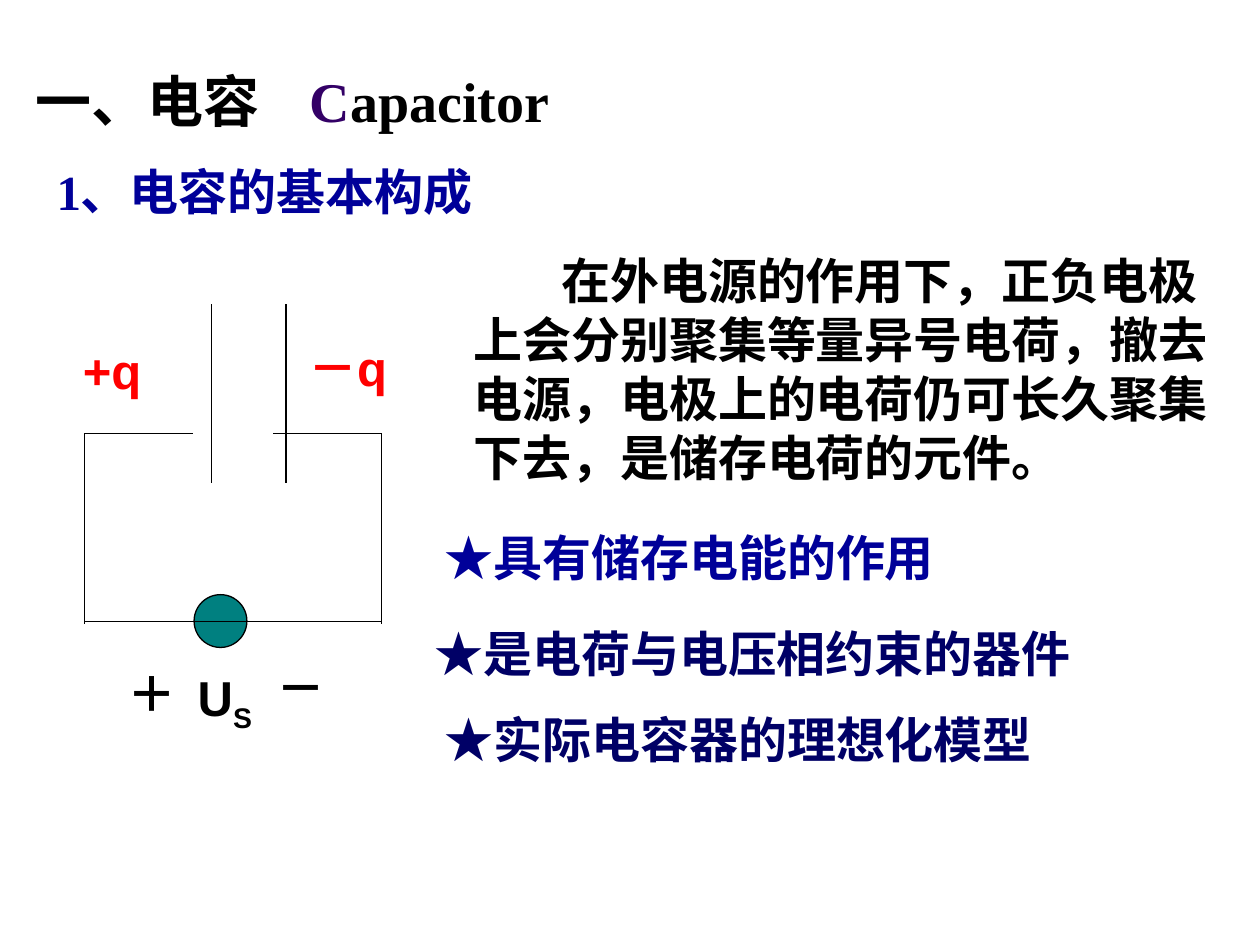
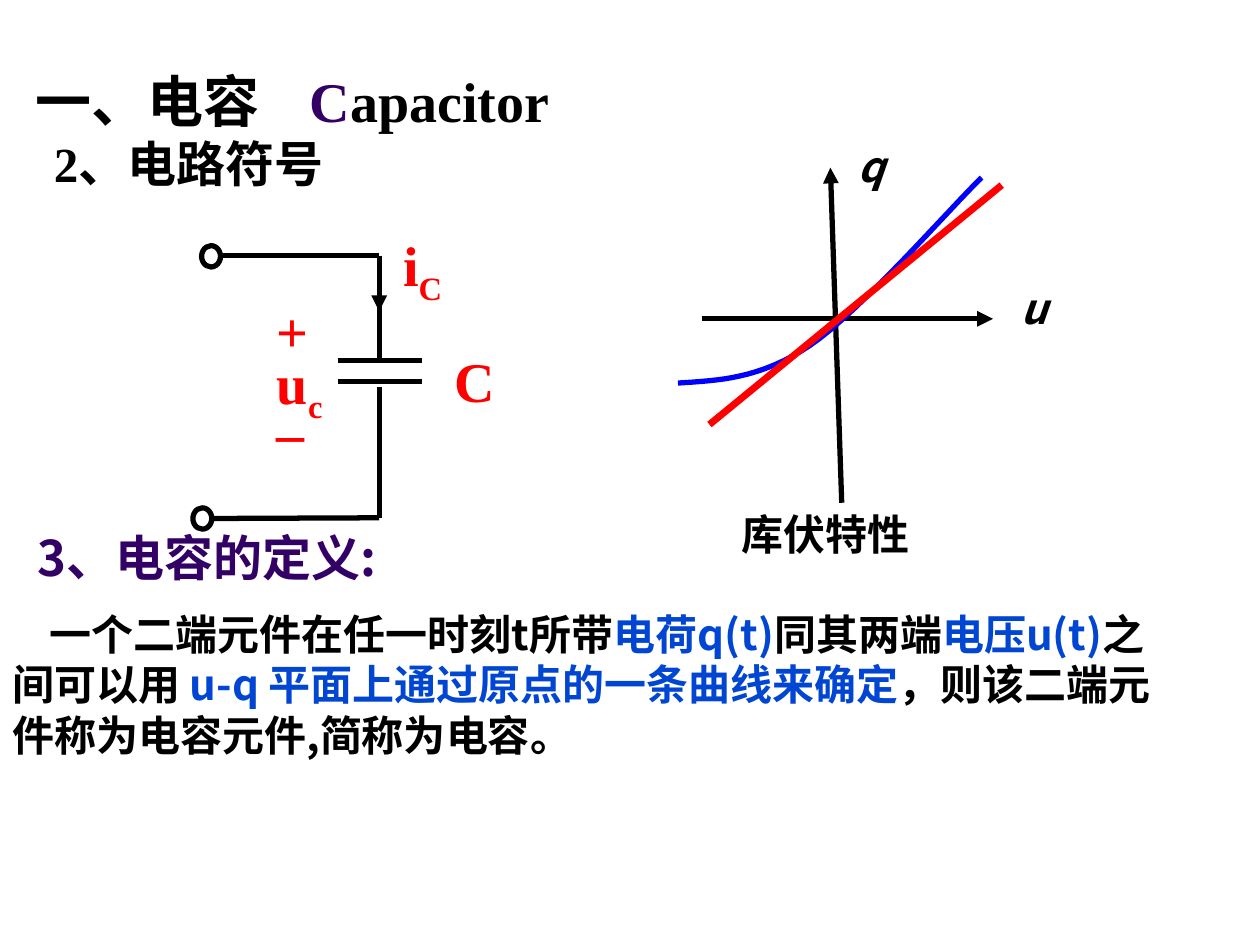
import pptx
import pptx.dml.color
import pptx.enum.shapes
import pptx.enum.text
import pptx.oxml.ns
import pptx.util
import lxml.etree

Pt = pptx.util.Pt
qn = pptx.oxml.ns.qn
SHAPE = pptx.enum.shapes.MSO_SHAPE
STRAIGHT = pptx.enum.shapes.MSO_CONNECTOR.STRAIGHT
ALIGN = pptx.enum.text.PP_ALIGN

COLORS = {
    "black": "000000",
    "red": "FF0000",
    "curve": "0000FF",
    "source": "008080",
    "heading": "000099",
    "navy": "000066",
    "purple": "330066",
    "accent": "0046D2",
}
CJK, TIMES, ARIAL = "Noto Sans CJK SC", "Times New Roman", "Arial"


def rgb(name):
    return pptx.dml.color.RGBColor.from_string(COLORS[name])


def add_span(para, text, font=CJK, size=28, color="black", italic=False, sub=False):
    span = para.add_run()
    span.text = text
    span.font.size = Pt(size)
    span.font.bold = True
    span.font.italic = italic
    span.font.color.rgb = rgb(color)
    span.font.name = font
    properties = span.font._element
    lxml.etree.SubElement(properties, qn("a:ea")).set("typeface", CJK)
    if sub:
        properties.set("baseline", "-25000")
    return span


def bezier(start, first, second, end, steps=16):
    for step in range(1, steps + 1):
        t = step / steps
        weights = ((1 - t) ** 3, 3 * t * (1 - t) ** 2, 3 * t * t * (1 - t), t ** 3)
        points = (start, first, second, end)
        yield tuple(sum(w * p[axis] for w, p in zip(weights, points)) for axis in (0, 1))


class Lecture:
    def __init__(self):
        self.deck = pptx.Presentation()
        self.deck.slide_width, self.deck.slide_height = Pt(720), Pt(540)
        self.page = None

    def new_page(self):
        self.page = self.deck.slides.add_slide(self.deck.slide_layouts[5])
        title = self.page.shapes.title
        title.left, title.top, title.width, title.height = map(Pt, (13, 34.6, 392.4, 46.1))
        self.set_frame(title.text_frame)
        para = title.text_frame.paragraphs[0]
        para.alignment = ALIGN.LEFT
        tabs = lxml.etree.SubElement(para._p.get_or_add_pPr(), qn("a:tabLst"))
        lxml.etree.SubElement(tabs, qn("a:tab"), pos=str(Pt(156.7)), algn="l")
        add_span(para, "一、电容\t", size=32)
        add_span(para, "C", font=TIMES, size=32, color="purple")
        add_span(para, "apacitor", font=TIMES, size=32)

    def set_frame(self, frame, wrap=True):
        frame.word_wrap = wrap
        frame.auto_size = pptx.enum.text.MSO_AUTO_SIZE.NONE
        frame.vertical_anchor = pptx.enum.text.MSO_ANCHOR.TOP
        frame.margin_left = frame.margin_right = Pt(7.2)
        frame.margin_top = frame.margin_bottom = Pt(3.6)

    def text(self, place, *lines, align=ALIGN.LEFT, wrap=True, indent=0, spacing=None, **style):
        box = self.page.shapes.add_textbox(*map(Pt, place))
        frame = box.text_frame
        self.set_frame(frame, wrap)
        for number, line in enumerate(lines):
            para = frame.add_paragraph() if number else frame.paragraphs[0]
            para.alignment = align
            if spacing:
                para.line_spacing = spacing
            if indent:
                para._p.get_or_add_pPr().set("indent", str(Pt(indent)))
            for text, changes in [(line, {})] if isinstance(line, str) else line:
                add_span(para, text, **{**style, **changes})

    def label(self, place, *lines, **style):
        self.text(place, *lines, align=ALIGN.CENTER, **style)

    def line(self, x1, y1, x2, y2, width=3, color="black", arrow=False):
        line = self.page.shapes.add_connector(STRAIGHT, *map(Pt, (x1, y1, x2, y2)))
        line.line.width = Pt(width)
        line.line.color.rgb = rgb(color)
        if arrow:
            lxml.etree.SubElement(line.line._get_or_add_ln(), qn("a:tailEnd"), type="triangle")
        lxml.etree.SubElement(line._element.spPr, qn("a:effectLst"))

    def outline(self, shape, width, color="black", fill=None):
        shape.shadow.inherit = False
        shape.line.width = Pt(width)
        shape.line.color.rgb = rgb(color)
        if fill:
            shape.fill.solid()
            shape.fill.fore_color.rgb = rgb(fill)
        else:
            shape.fill.background()

    def circle(self, place, width=3, fill=None):
        shape = self.page.shapes.add_shape(SHAPE.OVAL, *map(Pt, place))
        self.outline(shape, width, fill=fill)

    def curve(self, start, *segments, color):
        points = []
        current = start
        for segment in segments:
            points += bezier(current, *segment)
            current = segment[-1]
        builder = self.page.shapes.build_freeform(*map(Pt, start), scale=1.0)
        builder.add_line_segments([tuple(map(Pt, point)) for point in points], close=False)
        self.outline(builder.convert_to_shape(), 3, color)


def build_structure(lecture):
    lecture.new_page()
    lecture.text((25.2, 88.6, 323.3, 41), "1、电容的基本构成", font=TIMES, color="heading")
    for left, top, color, text in (
        (247, 298.1, "heading", "★具有储存电能的作用"),
        (241.2, 352.8, "navy", "★是电荷与电压相约束的器件"),
        (247, 401.8, "navy", "★实际电容器的理想化模型"),
    ):
        lecture.text((left, top, 429, 41), text, color=color)
    lecture.text(
        (263.5, 139.7, 442.1, 141.8),
        "在外电源的作用下，正负电极上会分别聚集等量异号电荷，撤去电源，"
        "电极上的电荷仍可长久聚集下去，是储存电荷的元件。",
        font=TIMES, indent=50.2,
    )

    left, right, top, bottom = 48.2, 218.2, 247.7, 355
    lecture.circle((110.9, 339.8, 30.2, 30.2), width=0.75, fill="source")
    for plate in (121, 163.4):
        lecture.line(plate, 275.8, plate, 173.5, width=0.75)
    for side, end in ((left, 110.2), (right, 156.2)):
        lecture.line(side, top, end, top, width=0.75)
        lecture.line(side, top, side, bottom + 1.4, width=0.75)
    lecture.line(left, bottom, right, bottom, width=0.75)

    for place, text, color in (
        ((40.3, 190.8, 47.5, 41), "+q", "red"),
        ((165.6, 189.4, 66.2, 41), "－q", "red"),
        ((69.1, 375.8, 36, 41), "＋", "black"),
        ((150.5, 372.2, 42.5, 41), "－", "black"),
        ((105.8, 378, 45.4, 45.4), [("U", {}), ("S", {"sub": True})], "black"),
    ):
        lecture.label(place, text, wrap=False, font=ARIAL, color=color)


def build_symbol(lecture):
    lecture.new_page()
    lecture.label((20.2, 72.7, 175, 41), "2、电路符号", wrap=False, font=TIMES)
    lecture.text((14.4, 298.1, 223.9, 75), "3、电容的定义:", color="purple")
    accent = {"color": "accent"}
    lecture.text(
        (0, 344.2, 684, 93.6),
        [
            ("一个二端元件在任一时刻t所带", {}),
            ("电荷q(t)", accent),
            ("同其两端", {}),
            ("电压u(t)", accent),
            ("之间可以用 ", {}),
            ("u-q 平面上通过原点的一条曲线来确定", accent),
            ("，则该二端元件称为电容元件,简称为电容。", {}),
        ],
        size=24, indent=21.5,
    )

    wire, upper, lower = 216.7, 205.9, 218.2
    lecture.line(126.7, 146.2, wire, 146.2)
    lecture.line(wire, 146.2, wire, upper)
    lecture.line(wire, 149.8, wire, 177.8, arrow=True)
    for plate in (upper, lower):
        lecture.line(193, plate, 241.2, plate)
    lecture.line(wire, 221, wire, 295.9)
    lecture.line(wire, 295.9, 121, 296.3)
    for left, top in ((115.2, 140.4), (110.2, 290.2)):
        lecture.circle((left, top, 10.8, 12.2))
    symbol = {"font": TIMES, "size": 32, "color": "red"}
    sub = {"sub": True}
    lecture.text((223.2, 128.2, 66.2, 51.1), [("i", {}), ("C", sub)], **symbol)
    lecture.text((252.7, 194.4, 72, 46.1), "C", **symbol)
    lecture.text((151.2, 176.4, 72, 91.4), "+", [("u", {}), ("c", sub)], "–",
                 spacing=0.7, **symbol)

    lecture.line(401, 182.2, 567.4, 182.2, arrow=True)
    lecture.line(481, 287.3, 474.5, 95.8, arrow=True)
    lecture.curve(
        (387.4, 218.9),
        ((410.4, 217.4), (434.2, 216.7), (463, 197.3)),
        ((491.8, 177.8), (544.3, 117.4), (560.9, 101.5)),
        color="curve",
    )
    lecture.line(405.4, 242.6, 572.4, 105.8, width=4, color="red")
    for left, top, name in ((567.4, 157.7, "u"), (474.5, 77, "q")):
        lecture.label((left, top, 46.8, 36), name, size=24, italic=True)
    lecture.text((416.9, 287.3, 215.3, 36), "库伏特性", size=24)


def main():
    lecture = Lecture()
    build_structure(lecture)
    build_symbol(lecture)
    lecture.deck.save("out.pptx")


if __name__ == "__main__":
    main()
